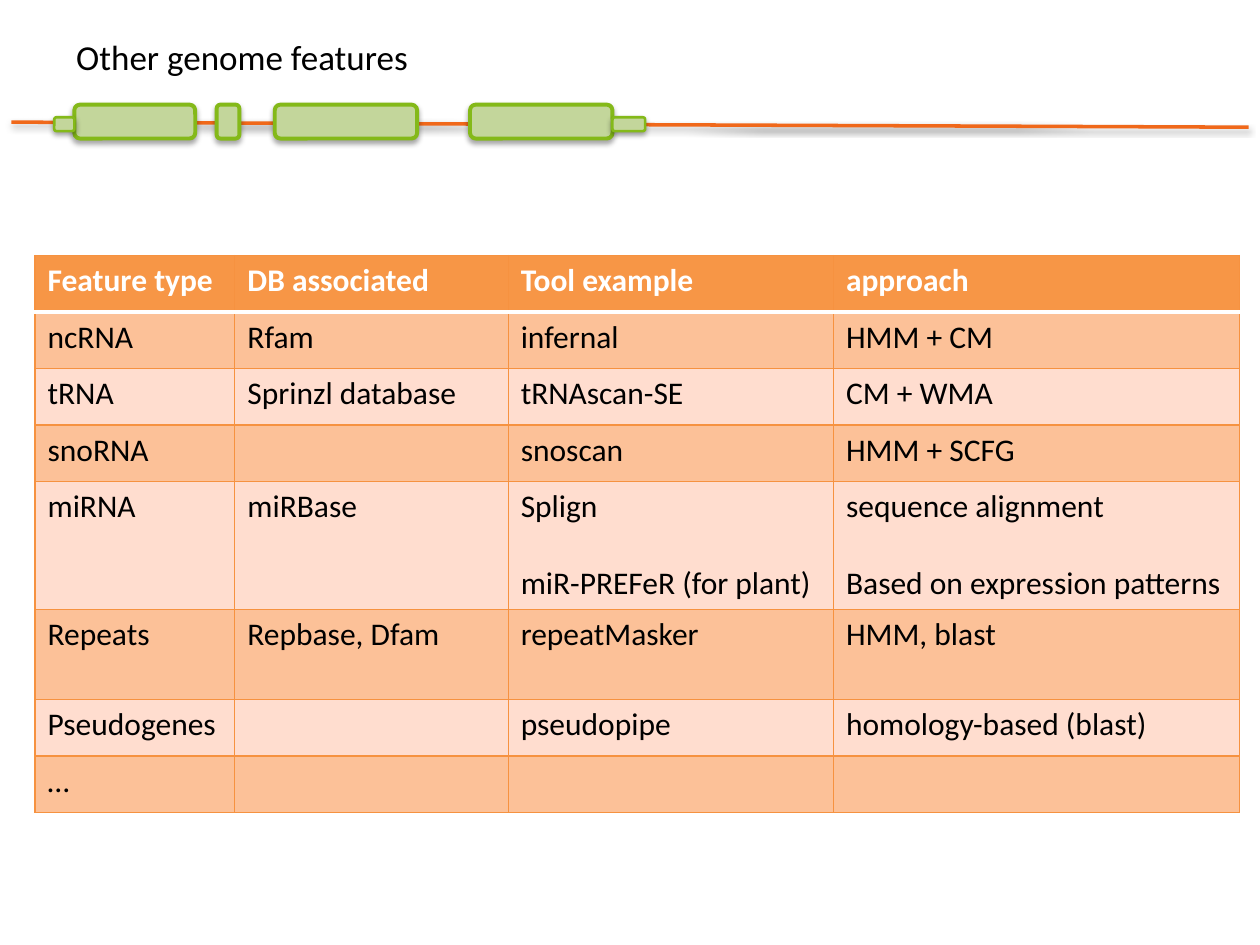
from lxml.etree import SubElement as Sub
from pptx import Presentation
from pptx.dml.color import RGBColor
from pptx.enum.shapes import MSO_CONNECTOR as Link, MSO_SHAPE as Form
from pptx.enum.text import MSO_ANCHOR as Anchor
from pptx.oxml.ns import qn
from pptx.util import Pt

FONT = "Calibri"
WHITE, BLACK = "FFFFFF", "000000"
ORANGE, EDGE, TRACK = "F79646", "F69240", "F0681A"
BANDS = ("FCC198", "FFDDCF")
GREEN, RIM = "C3D69B", "84B919"

# Gene model: left, top, width, height, line width
EXONS = [(left, 59.8, width, 19.4, 2.25) for left, width in
         ((42.5, 69.1), (123.8, 13), (157, 81.4), (268.6, 81.4))]
ENDS = [(350, 67, 18.7, 7.9, 1.5), (31, 67, 11.5, 7.9, 1.5)]

# Table: a cell with two entries is a tuple
ROWS = [
    ("Feature type", "DB associated", "Tool example", "approach"),
    ("ncRNA", "Rfam", "infernal", "HMM + CM"),
    ("tRNA", "Sprinzl database", "tRNAscan-SE", "CM + WMA"),
    ("snoRNA", "", "snoscan", "HMM + SCFG"),
    ("miRNA", "miRBase", ("Splign", "miR-PREFeR (for plant)"),
     ("sequence alignment", "Based on expression patterns")),
    ("Repeats", "Repbase, Dfam", "repeatMasker", "HMM, blast"),
    ("Pseudogenes", "", "pseudopipe", "homology-based (blast)"),
    ("…", "", "", ""),
]
WIDTHS = (114.2, 156.2, 185.9, 232.2)
ROW, TALL = 32.3, {4: 73.1, 5: 51.4}


def tint(code):
    return RGBColor.from_string(code)


def write(frame, text, size=18, color=BLACK, bold=False, gap=0):
    """Write one paragraph per entry, with a gap above each later one."""
    lines = (text,) if isinstance(text, str) else text
    for i, line in enumerate(lines):
        par = frame.add_paragraph() if i else frame.paragraphs[0]
        par.font.size = Pt(size)
        if i:
            par.space_before = Pt(gap)
        if line:
            run = par.add_run()
            run.text = line
            font = run.font
            font.name, font.size, font.bold = FONT, Pt(size), bold
            font.color.rgb = tint(color)


def shade(props, alpha, dist):
    """Give a shape or line a soft shadow straight below it."""
    list_tag = qn("a:effectLst")
    found = props.find(list_tag)
    glow = Sub(props, list_tag) if found is None else found
    drop = Sub(glow, qn("a:outerShdw"), blurRad=str(Pt(3.1)),
               dist=str(Pt(dist)), dir="5400000", rotWithShape="0")
    tone = Sub(drop, qn("a:srgbClr"), val=BLACK)
    Sub(tone, qn("a:alpha"), val=str(alpha * 1000))


def add_track(slide):
    line = slide.shapes.add_connector(
        Link.STRAIGHT, Pt(6.5), Pt(69.8), Pt(713.5), Pt(72.7))
    line.line.color.rgb = tint(TRACK)
    line.line.width = Pt(2)
    shade(line._element.spPr, 38, 1.6)


def add_block(slide, left, top, width, height, weight):
    block = slide.shapes.add_shape(
        Form.ROUNDED_RECTANGLE, Pt(left), Pt(top), Pt(width), Pt(height))
    block.fill.solid()
    block.fill.fore_color.rgb = tint(GREEN)
    block.line.color.rgb = tint(RIM)
    block.line.width = Pt(weight)
    block.shadow.inherit = False
    shade(block._element.spPr, 35, 1.8)


def add_edge(cell, side, color, width):
    edge = Sub(cell._tc.get_or_add_tcPr(), qn("a:ln" + side),
               w=str(Pt(width)))
    Sub(Sub(edge, qn("a:solidFill")), qn("a:srgbClr"), val=color)


def fill_cell(cell, text, r):
    # Edges come first: the schema wants them ahead of the fill
    seam = {0: "B", 1: "T"}.get(r)
    for side in "LRTB":
        if side == seam:
            add_edge(cell, side, WHITE, 2)
        else:
            add_edge(cell, side, EDGE, 0.75)
    cell.fill.solid()
    cell.fill.fore_color.rgb = tint(BANDS[(r - 1) % 2] if r else ORANGE)
    cell.vertical_anchor = Anchor.TOP
    write(cell.text_frame, text, color=BLACK if r else WHITE,
          bold=r == 0, gap=22)


def add_grid(slide):
    highs = [TALL.get(r, ROW) for r in range(len(ROWS))]
    grid = slide.shapes.add_table(
        len(ROWS), len(WIDTHS), Pt(20), Pt(146),
        Pt(sum(WIDTHS)), Pt(sum(highs))).table
    for col, width in zip(grid.columns, WIDTHS):
        col.width = Pt(width)
    for r, (high, row) in enumerate(zip(highs, ROWS)):
        grid.rows[r].height = Pt(high)
        for c, text in enumerate(row):
            fill_cell(grid.cell(r, c), text, r)


def add_title(slide):
    box = slide.shapes.add_textbox(Pt(36.5), Pt(16.8), Pt(210), Pt(31.5))
    box.text_frame.word_wrap = False
    write(box.text_frame, "Other genome features", size=20)


def main():
    deck = Presentation()
    deck.slide_width, deck.slide_height = Pt(720), Pt(540)
    slide = deck.slides.add_slide(deck.slide_layouts[6])

    # Gene model across the top
    add_track(slide)
    for block in EXONS + ENDS:
        add_block(slide, *block)

    # Table and title
    add_grid(slide)
    add_title(slide)
    deck.save("out.pptx")


if __name__ == "__main__":
    main()
